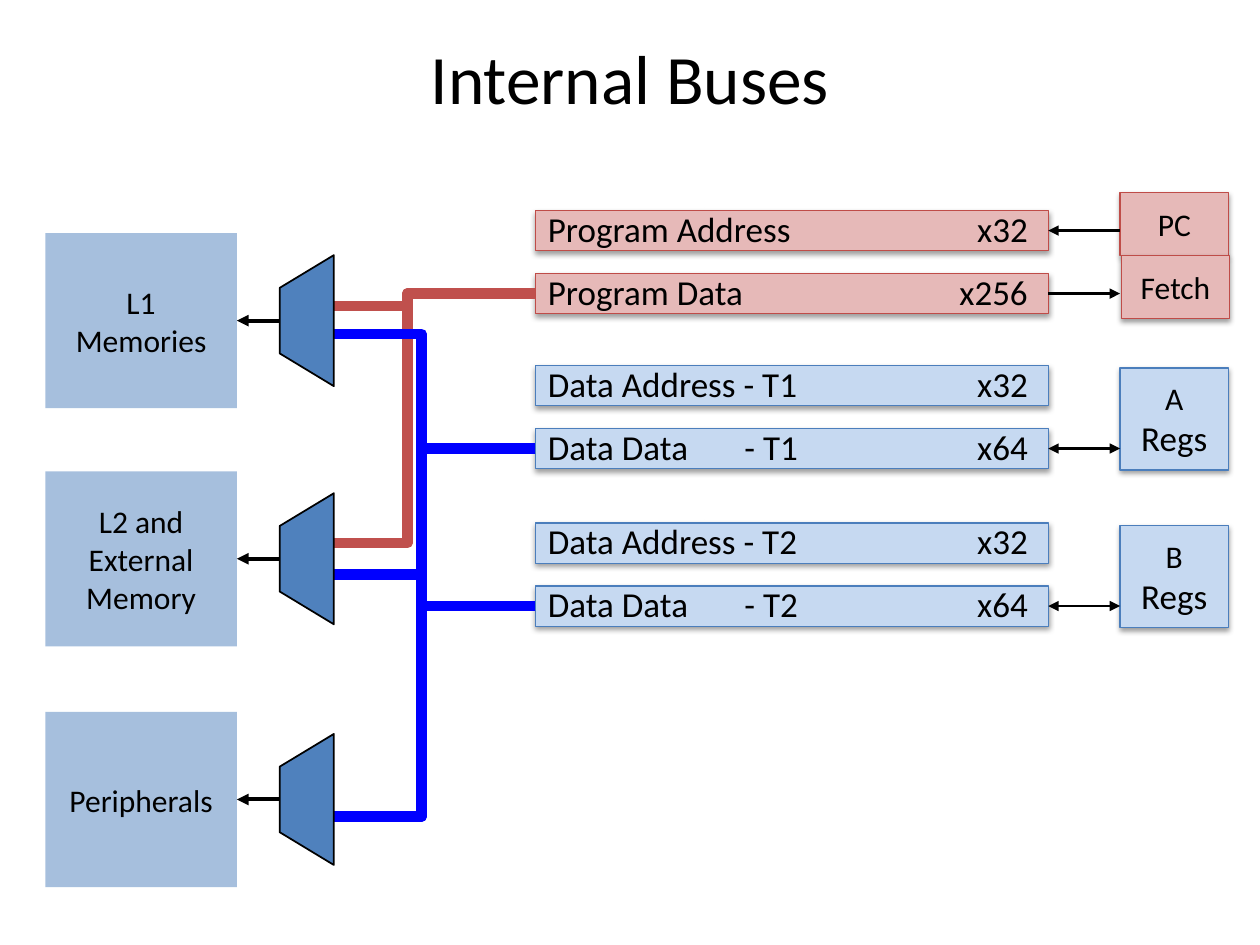
from pptx import Presentation
from pptx.dml.color import RGBColor
from pptx.enum.shapes import MSO_CONNECTOR as Link, MSO_SHAPE as Shape
from pptx.enum.text import MSO_ANCHOR as Anchor, PP_ALIGN as Align
from pptx.oxml import parse_xml
from pptx.oxml.ns import nsdecls, qn
from pptx.util import Inches, Pt

THEME = {
    "font": "Calibri", "text": "000000", "title": 39.6, "label": 18, "bus": 20,
    "memory": "4F81BD", "program wire": "C0504D", "data wire": "0000FF",
    "program": ("E6B9B8", "BF4C48"), "data": ("C6D9F1", "4B7EBC"),
}
LABEL, BUS = THEME["label"], THEME["bus"]

# kind, top, tab-separated text
BUSES = [
    ("program", 1.67, "Program Address\tx32"),
    ("program", 2.17, "Program Data\tx256"),
    ("data", 2.90, "Data Address - T1\tx32"),
    ("data", 3.40, "Data Data\t- T1\tx64"),
    ("data", 4.15, "Data Address - T2\tx32"),
    ("data", 4.65, "Data Data\t- T2\tx64"),
]
# kind, left, top, height, side inset, lines with sizes
REGISTERS = [
    ("program", 8.89, 1.53, 0.50, 0.2, [("PC", LABEL)]),
    ("program", 8.90, 2.03, 0.50, 0, [("Fetch", LABEL)]),
    ("data", 8.89, 2.92, 0.81, 0.2, [("A", LABEL), ("Regs", BUS)]),
    ("data", 8.89, 4.17, 0.81, 0.2, [("B", LABEL), ("Regs", BUS)]),
]
# top, lines
MEMORIES = [
    (1.85, ["L1", "Memories"]),
    (3.74, ["L2 and", "External", "Memory"]),
    (5.65, ["Peripherals"]),
]
# bus index, end x, end heights
WIRES = [
    (1, 2.22, [4.31, 2.43]),
    (5, 2.44, [4.56, 2.65, 6.48]),
    (3, 2.44, [4.56, 6.48]),
]
# bus index, arrowhead at bus, arrowhead at register
TRANSFERS = [(0, True, False), (1, False, True), (3, True, True), (5, True, True)]

BUS_LEFT, BUS_WIDTH, BUS_HEIGHT = 4.25, 4.07, 0.32
NAME_TAB, WIDTH_TAB = 1.56, 3.81
REGISTER_LEFT, REGISTER_WIDTH = 8.89, 0.86
MEMORY_LEFT, MEMORY_WIDTH, MEMORY_HEIGHT = 0.36, 1.52, 1.39
MUX_LEFT, MUX_RIGHT, MUX_SHORT, MUX_LONG = 2.22, 2.65, 0.26, 0.52


def color(name):
    return RGBColor.from_string(name)


def write(para, text, size, align=Align.CENTER):
    para.alignment = align
    span = para.add_run()
    span.text = text
    span.font.name = THEME["font"]
    span.font.size = Pt(size)
    span.font.color.rgb = color(THEME["text"])


def paint(shape, fill, line=None, width=0.75):
    shape.shadow.inherit = False
    shape.fill.solid()
    shape.fill.fore_color.rgb = color(fill)
    if line:
        shape.line.color.rgb = color(line)
        shape.line.width = Pt(width)
    else:
        shape.line.fill.background()


def add_box(page, left, top, width, height, fill, line=None, insets=(0.1, 0.05),
            anchor=Anchor.MIDDLE, wrap=False):
    box = page.shapes.add_shape(
        Shape.RECTANGLE, Inches(left), Inches(top), Inches(width), Inches(height))
    paint(box, fill, line)
    frame = box.text_frame
    frame.word_wrap = wrap
    frame.vertical_anchor = anchor
    frame.margin_left = frame.margin_right = Inches(insets[0])
    frame.margin_top = frame.margin_bottom = Inches(insets[1])
    return box


def write_lines(box, lines):
    frame = box.text_frame
    for index, (text, size) in enumerate(lines):
        write(frame.add_paragraph() if index else frame.paragraphs[0], text, size)


def cast_shadow(box):
    box._element.spPr.find(qn("a:effectLst")).append(parse_xml(
        f'<a:outerShdw {nsdecls("a")} blurRad="{Pt(3.1)}" dist="{Pt(1.6)}" dir="5400000" '
        'rotWithShape="0"><a:srgbClr val="000000"><a:alpha val="38000"/></a:srgbClr>'
        '</a:outerShdw>'))


def add_link(page, begin, end, line, width, kind=Link.STRAIGHT, head=False, tail=False):
    link = page.shapes.add_connector(kind, *(Inches(value) for value in (*begin, *end)))
    link.line.color.rgb = color(line)
    link.line.width = Pt(width)
    for tag, wanted in (("headEnd", head), ("tailEnd", tail)):
        if wanted:
            link.line._get_or_add_ln().append(
                parse_xml(f'<a:{tag} {nsdecls("a")} type="triangle"/>'))
    link._element.spPr.append(parse_xml(f'<a:effectLst {nsdecls("a")}/>'))
    return link


def add_bus(page, kind, top, text):
    bus = add_box(page, BUS_LEFT, top, BUS_WIDTH, BUS_HEIGHT, *THEME[kind],
                  insets=(0.1, 0), anchor=Anchor.TOP)
    bus.text_frame.margin_right = 0
    cast_shadow(bus)
    para = bus.text_frame.paragraphs[0]
    para.line_spacing = 0.95
    stops = [(WIDTH_TAB, "r")]
    if text.count("\t") == 2:
        stops.insert(0, (NAME_TAB, "l"))
    tabs = "".join(f'<a:tab pos="{Inches(pos)}" algn="{side}"/>' for pos, side in stops)
    para._p.get_or_add_pPr().append(
        parse_xml(f'<a:tabLst {nsdecls("a")}>{tabs}</a:tabLst>'))
    write(para, text, BUS, Align.LEFT)
    return bus


def add_memory(page, top, lines):
    """Add a memory block, its multiplexer and the arrow between them."""
    memory = add_box(page, MEMORY_LEFT, top, MEMORY_WIDTH, MEMORY_HEIGHT, THEME["memory"])
    memory.fill._xPr.find(qn("a:solidFill"))[0].append(
        parse_xml(f'<a:alpha {nsdecls("a")} val="50000"/>'))
    write_lines(memory, [(line, LABEL) for line in lines])

    middle = top + MEMORY_HEIGHT / 2
    corners = [(MUX_RIGHT, middle - MUX_LONG), (MUX_LEFT, middle - MUX_SHORT),
               (MUX_LEFT, middle + MUX_SHORT), (MUX_RIGHT, middle + MUX_LONG)]
    start, *others = [(Inches(x), Inches(y)) for x, y in corners]
    outline = page.shapes.build_freeform(*start)
    outline.add_line_segments(others, close=True)
    paint(outline.convert_to_shape(), THEME["memory"], THEME["text"], 1)

    arrow = add_link(page, (MUX_LEFT, middle), (MEMORY_LEFT + MEMORY_WIDTH, middle),
                     THEME["text"], 2.25, tail=True)
    arrow.end_connect(memory, 3)


def main():
    deck = Presentation()
    deck.slide_width, deck.slide_height = Inches(10), Inches(7.5)
    page = deck.slides.add_slide(deck.slide_layouts[5])

    title = page.shapes.title
    title.left, title.top = Inches(0.5), Inches(0.3)
    title.width, title.height = Inches(9), Inches(0.62)
    title.text_frame.vertical_anchor = Anchor.MIDDLE
    write(title.text_frame.paragraphs[0], "Internal Buses", THEME["title"])

    buses = [add_bus(page, *bus) for bus in BUSES]
    for index, end_x, heights in WIRES:
        kind, top, _ = BUSES[index]
        for end_y in heights:
            wire = add_link(page, (BUS_LEFT, top + BUS_HEIGHT / 2), (end_x, end_y),
                            THEME[f"{kind} wire"], 6, Link.ELBOW)
            wire.begin_connect(buses[index], 1)

    for kind, left, top, height, inset, lines in REGISTERS:
        register = add_box(page, left, top, REGISTER_WIDTH, height, *THEME[kind],
                           insets=(inset, 0.2), wrap=kind == "program")
        cast_shadow(register)
        write_lines(register, lines)

    for index, head, tail in TRANSFERS:
        middle = BUSES[index][1] + BUS_HEIGHT / 2
        arrow = add_link(page, (BUS_LEFT + BUS_WIDTH, middle), (REGISTER_LEFT, middle),
                         THEME["text"], 1.5, head=head, tail=tail)
        arrow.begin_connect(buses[index], 3)

    for memory in MEMORIES:
        add_memory(page, *memory)
    deck.save("out.pptx")


if __name__ == "__main__":
    main()
